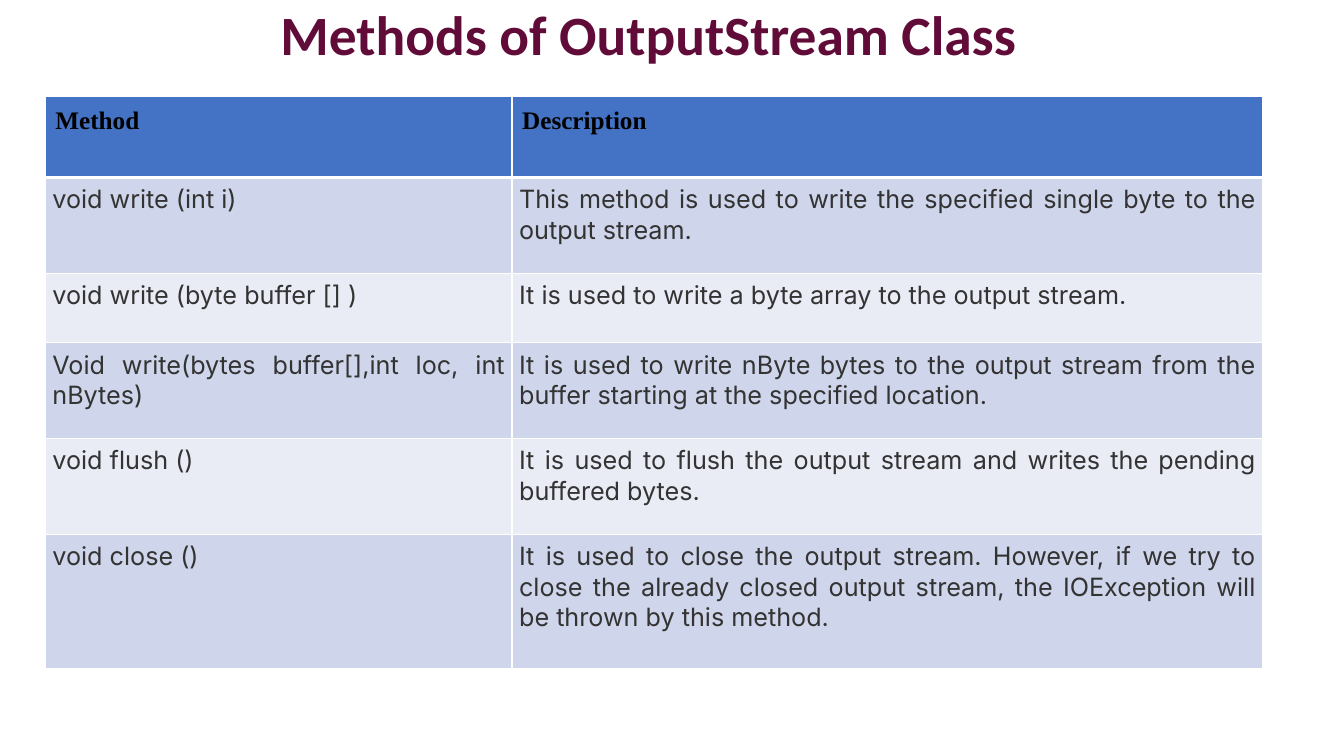
from dataclasses import dataclass
from typing import Any

from lxml.etree import SubElement
from pptx import Presentation
from pptx.dml.color import RGBColor
from pptx.enum.text import MSO_ANCHOR, PP_ALIGN
from pptx.oxml.ns import qn
from pptx.slide import Slide
from pptx.table import _Cell
from pptx.util import Pt


@dataclass(frozen=True)
class TextStyle:
    face: str
    size: float
    color: str
    bold: bool
    align: PP_ALIGN


@dataclass(frozen=True)
class Theme:
    title: TextStyle = TextStyle("Calibri", 39.6, "610B38", True, PP_ALIGN.CENTER)
    header: TextStyle = TextStyle("Times New Roman", 18, "000000", True, PP_ALIGN.LEFT)
    body: TextStyle = TextStyle("Inter", 18, "333333", False, PP_ALIGN.JUSTIFY)
    header_fill: str = "4472C4"
    band_fills: tuple[str, str] = ("CFD5EA", "E9EBF5")
    border: str = "FFFFFF"
    thin: float = 1
    thick: float = 3
    header_inset: float = 7.2
    body_inset: float = 5.04


@dataclass(frozen=True)
class MethodRow:
    method: str
    description: str
    height: float


THEME = Theme()
LEFT = 32.4
COLUMN_WIDTHS = (333.4, 536.4)
ROWS = (
    MethodRow("Method", "Description", 57.6),
    MethodRow(
        "void write (int i)",
        "This method is used to write the specified single byte to the output stream.",
        68.4,
    ),
    MethodRow(
        "void write (byte buffer [] )",
        "It is used to write a byte array to the output stream.",
        49.7,
    ),
    MethodRow(
        "Void write(bytes buffer[],int loc, int nBytes)",
        "It is used to write nByte bytes to the output stream from the buffer "
        "starting at the specified location.",
        68.4,
    ),
    MethodRow(
        "void flush ()",
        "It is used to flush the output stream and writes the pending buffered bytes.",
        68.4,
    ),
    MethodRow(
        "void close ()",
        "It is used to close the output stream. However, if we try to close the "
        "already closed output stream, the IOException will be thrown by this method.",
        95.8,
    ),
)


def apply_format(target: Any, values: dict[str, Any]) -> None:
    for name, value in values.items():
        setattr(target, name, value)


def write_text(para: Any, text: str, style: TextStyle) -> None:
    para.alignment = style.align
    span = para.add_run()
    span.text = text
    apply_format(
        span.font,
        {"name": style.face, "size": Pt(style.size), "bold": style.bold},
    )
    span.font.color.rgb = RGBColor.from_string(style.color)


def draw_borders(cell: _Cell, widths: dict[str, float]) -> None:
    properties = cell._tc.get_or_add_tcPr()
    for side, width in widths.items():
        line = SubElement(properties, qn(f"a:ln{side}"), w=str(Pt(width)))
        fill = SubElement(line, qn("a:solidFill"))
        SubElement(fill, qn("a:srgbClr"), val=THEME.border)


def draw_cell(cell: _Cell, text: str, row_index: int) -> None:
    is_header = row_index == 0
    inset = Pt(THEME.header_inset if is_header else THEME.body_inset)
    sides = ("left", "right", "top", "bottom")
    apply_format(cell, {f"margin_{side}": inset for side in sides})
    write_text(
        cell.text_frame.paragraphs[0], text, THEME.header if is_header else THEME.body
    )
    draw_borders(
        cell,
        {
            "L": THEME.thin,
            "R": THEME.thin,
            "T": THEME.thick if row_index == 1 else THEME.thin,
            "B": THEME.thick if is_header else THEME.thin,
        },
    )
    color = THEME.header_fill if is_header else THEME.band_fills[(row_index - 1) % 2]
    cell.fill.solid()
    cell.fill.fore_color.rgb = RGBColor.from_string(color)


def draw_title(page: Slide, text: str) -> None:
    box = page.shapes.add_textbox(Pt(LEFT), Pt(0), Pt(861.8), Pt(53.3))
    apply_format(
        box.text_frame, {"word_wrap": True, "vertical_anchor": MSO_ANCHOR.MIDDLE}
    )
    para = box.text_frame.paragraphs[0]
    para.line_spacing = 0.9
    write_text(para, text, THEME.title)


def draw_methods(page: Slide) -> None:
    table = page.shapes.add_table(
        len(ROWS),
        len(COLUMN_WIDTHS),
        Pt(LEFT),
        Pt(69.1),
        Pt(sum(COLUMN_WIDTHS)),
        Pt(sum(row.height for row in ROWS)),
    ).table
    for column, width in zip(table.columns, COLUMN_WIDTHS):
        column.width = Pt(width)
    for row_index, row in enumerate(ROWS):
        table.rows[row_index].height = Pt(row.height)
        for column_index, text in enumerate((row.method, row.description)):
            draw_cell(table.cell(row_index, column_index), text, row_index)


def main() -> None:
    deck = Presentation()
    apply_format(deck, {"slide_width": Pt(960), "slide_height": Pt(540)})
    page = deck.slides.add_slide(deck.slide_layouts[6])
    draw_title(page, "Methods of OutputStream Class")
    draw_methods(page)
    deck.save("out.pptx")


if __name__ == "__main__":
    main()
